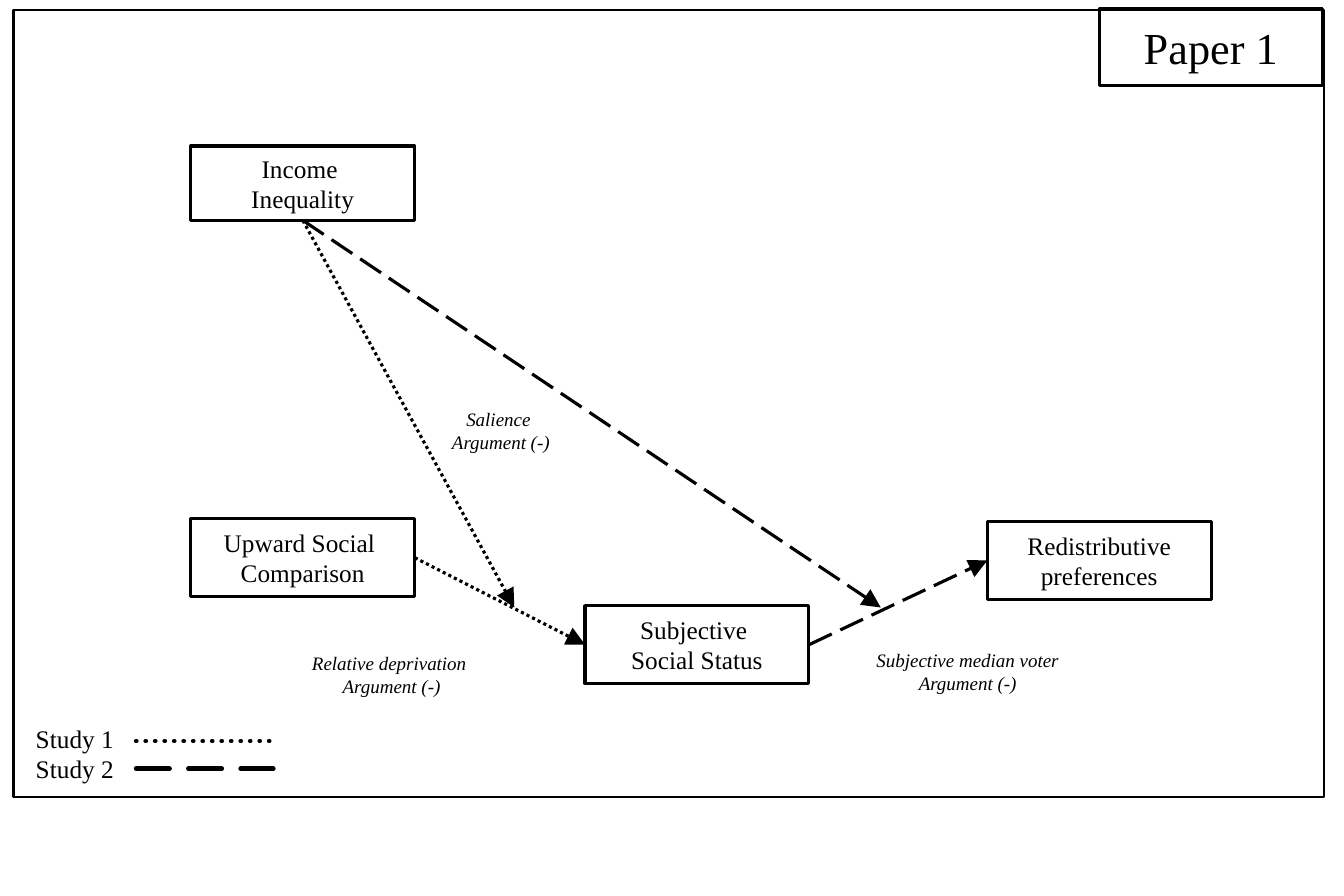
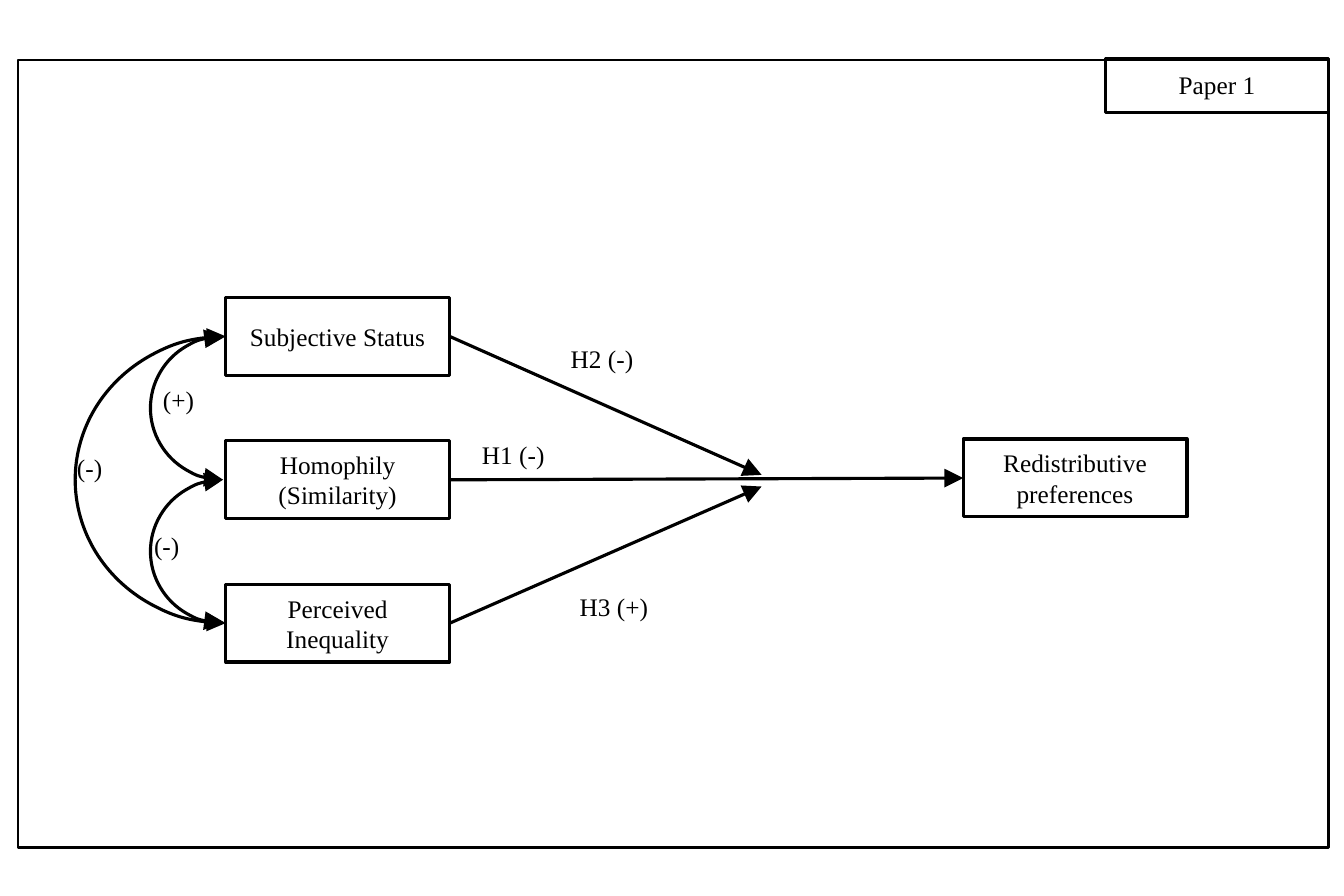
from lxml import etree
from pptx import Presentation
from pptx.dml.color import RGBColor
from pptx.enum.dml import MSO_LINE
from pptx.enum.shapes import MSO_CONNECTOR, MSO_SHAPE
from pptx.enum.text import MSO_ANCHOR, MSO_AUTO_SIZE, PP_ALIGN
from pptx.oxml.ns import qn
from pptx.util import Cm, Pt

BLACK = RGBColor(0x00, 0x00, 0x00)
WHITE = RGBColor(0xFF, 0xFF, 0xFF)
FONT = "Times New Roman"
RECT, BRACKET = MSO_SHAPE.RECTANGLE, MSO_SHAPE.LEFT_BRACKET
STRAIGHT = MSO_CONNECTOR.STRAIGHT
DOTTED, DASHED = MSO_LINE.ROUND_DOT, MSO_LINE.LONG_DASH
TOP, MIDDLE = MSO_ANCHOR.TOP, MSO_ANCHOR.MIDDLE
LEFT, CENTER = PP_ALIGN.LEFT, PP_ALIGN.CENTER
NO_AUTOFIT = MSO_AUTO_SIZE.NONE
BOTTOM_SIDE, LEFT_SIDE, RIGHT_SIDE = 2, 1, 3

TITLE_ONLY = 5
BOX_W, BOX_H = 2.5, 0.87
FRAME_W, FRAME_H = 14.63, 8.79
TAG_W = 2.49


def write(shape, text, size=8, italic=False, align=CENTER, anchor=MIDDLE, tight=True, wrap=True):
    frame = shape.text_frame
    frame.text = text
    frame.auto_size = NO_AUTOFIT
    frame.word_wrap = wrap
    frame.vertical_anchor = anchor
    if tight:
        frame.margin_left = frame.margin_right = Cm(0.15)
        frame.margin_top = frame.margin_bottom = Cm(0.08)
    for paragraph in frame.paragraphs:
        paragraph.alignment = align
        font = paragraph.font
        font.name, font.size, font.italic = FONT, Pt(size), italic
        font.color.rgb = BLACK


def outline(shape, width=1):
    shape.line.color.rgb = BLACK
    shape.line.width = Pt(width)


def fill_white(shape):
    shape.fill.solid()
    shape.fill.fore_color.rgb = WHITE


def add_arrowheads(shape, *ends):
    """Put triangles on the named ends, headEnd before tailEnd."""
    for end in ends:
        etree.SubElement(shape.line._get_or_add_ln(), qn("a:" + end)).set("type", "triangle")


def add_page(deck, tag, frame_left, frame_top, tag_left, tag_top, tag_height, tag_size):
    """Add a slide with the large frame and its corner tag as title."""
    slide = deck.slides.add_slide(deck.slide_layouts[TITLE_ONLY])
    title = slide.shapes.title
    title.left, title.top = Cm(tag_left), Cm(tag_top)
    title.width, title.height = Cm(TAG_W), Cm(tag_height)
    fill_white(title)
    outline(title)
    write(title, tag, tag_size, anchor=TOP, tight=False)

    frame = slide.shapes.add_shape(RECT, Cm(frame_left), Cm(frame_top), Cm(FRAME_W), Cm(FRAME_H))
    frame.shadow.inherit = False
    frame.fill.background()
    outline(frame, 0.75)
    return slide


def add_concept(slide, text, left, top, height=BOX_H):
    concept = slide.shapes.add_shape(RECT, Cm(left), Cm(top), Cm(BOX_W), Cm(height))
    concept.shadow.inherit = False
    fill_white(concept)
    outline(concept)
    write(concept, text)
    return concept


def add_argument(slide, text, left, top):
    argument = slide.shapes.add_textbox(Cm(left), Cm(top), Cm(BOX_W), Cm(BOX_H))
    write(argument, text, size=6, italic=True)


def add_label(slide, text, left, top, width, height=0.6):
    label = slide.shapes.add_textbox(Cm(left), Cm(top), Cm(width), Cm(height))
    write(label, text, align=LEFT, anchor=TOP, tight=False, wrap=False)


def add_line(slide, start=(0, 0), end=(0, 0), dash=None, width=1):
    line = slide.shapes.add_connector(STRAIGHT, *(Cm(v) for v in (*start, *end)))
    outline(line, width)
    if dash:
        line.line.dash_style = dash
    etree.SubElement(line._element.spPr, qn("a:effectLst"))
    return line


def add_arrow(slide, cause, side, effect=None, end=(0, 0), dash=None):
    """Arrow from a side of the cause to the left of the effect, or to a point."""
    arrow = add_line(slide, end=end, dash=dash)
    arrow.begin_connect(cause, side)
    if effect is not None:
        arrow.end_connect(effect, LEFT_SIDE)
    add_arrowheads(arrow, "tailEnd")


def add_correlation(slide, left, top, right, bottom):
    """Double-headed arc open to the right."""
    arc = slide.shapes.add_shape(BRACKET, Cm(left), Cm(top), Cm(right - left), Cm(bottom - top))
    arc.adjustments[0] = 2.035
    arc.shadow.inherit = False
    arc.fill.background()
    outline(arc)
    add_arrowheads(arc, "headEnd", "tailEnd")


def build_studies(deck):
    slide = add_page(deck, "Paper 1", 0.15, 0.11, 12.27, 0.1, 0.86, 14)
    comparison = add_concept(slide, "Upward Social \nComparison", 2.13, 5.79)
    status = add_concept(slide, "Subjective \nSocial Status", 6.53, 6.76)
    inequality = add_concept(slide, "Income \nInequality", 2.13, 1.63, 0.83)
    preferences = add_concept(slide, "Redistributive\npreferences", 11.02, 5.82)

    add_arrow(slide, comparison, RIGHT_SIDE, status, dash=DOTTED)
    add_arrow(slide, status, RIGHT_SIDE, preferences, dash=DASHED)
    for end_x, dash in ((5.74, DOTTED), (9.83, DASHED)):
        add_arrow(slide, inequality, BOTTOM_SIDE, end=(end_x, 6.78), dash=dash)

    for text, left, top in (
        ("Relative deprivation \nArgument (-)", 3.12, 7.09),
        ("Subjective median voter\nArgument (-)", 9.55, 7.06),
        ("Salience \nArgument (-)", 4.34, 4.37),
    ):
        add_argument(slide, text, left, top)

    add_label(slide, "Study 1\vStudy 2", 0.15, 7.95, 1.7, 0.94)
    for y, dash in ((8.27, DOTTED), (8.58, DASHED)):
        sample = add_line(slide, (1.52, y), (3.05, y), dash, 1.5)
        sample.line._get_or_add_ln().set("cap", "rnd")


def build_hypotheses(deck):
    slide = add_page(deck, "Paper 1", 0.2, 0.67, 12.34, 0.65, 0.61, 8)
    tops = [3.32 + 1.6 * row for row in range(3)]
    names = ("Subjective Status", "Homophily\n(Similarity)", "Perceived Inequality")
    status, homophily, inequality = (
        add_concept(slide, name, 2.52, top) for name, top in zip(names, tops))
    preferences = add_concept(slide, "Redistributive\npreferences", 10.75, 4.9)

    add_arrow(slide, homophily, RIGHT_SIDE, preferences)
    add_arrow(slide, status, RIGHT_SIDE, end=(8.5, 5.3))
    add_arrow(slide, inequality, RIGHT_SIDE, end=(8.5, 5.43))

    upper, center, lower = (top + BOX_H / 2 for top in tops)
    add_correlation(slide, 0.84, upper, 2.52, lower)
    add_correlation(slide, 1.68, upper, 2.49, center)
    add_correlation(slide, 1.68, center, 2.49, lower)

    for text, left, top, width in (
        ("H2 (-)", 6.12, 3.71, 1.22),
        ("H3 (+)", 6.22, 6.48, 1.27),
        ("H1 (-)", 5.13, 4.78, 1.22),
        ("(-)", 0.61, 4.92, 0.79),
        ("(-)", 1.47, 5.79, 0.79),
        ("(+)", 1.57, 4.16, 0.86),
    ):
        add_label(slide, text, left, top, width)


def main():
    deck = Presentation()
    deck.slide_width, deck.slide_height = Cm(15), Cm(10)
    build_studies(deck)
    build_hypotheses(deck)
    deck.save("out.pptx")


if __name__ == "__main__":
    main()
